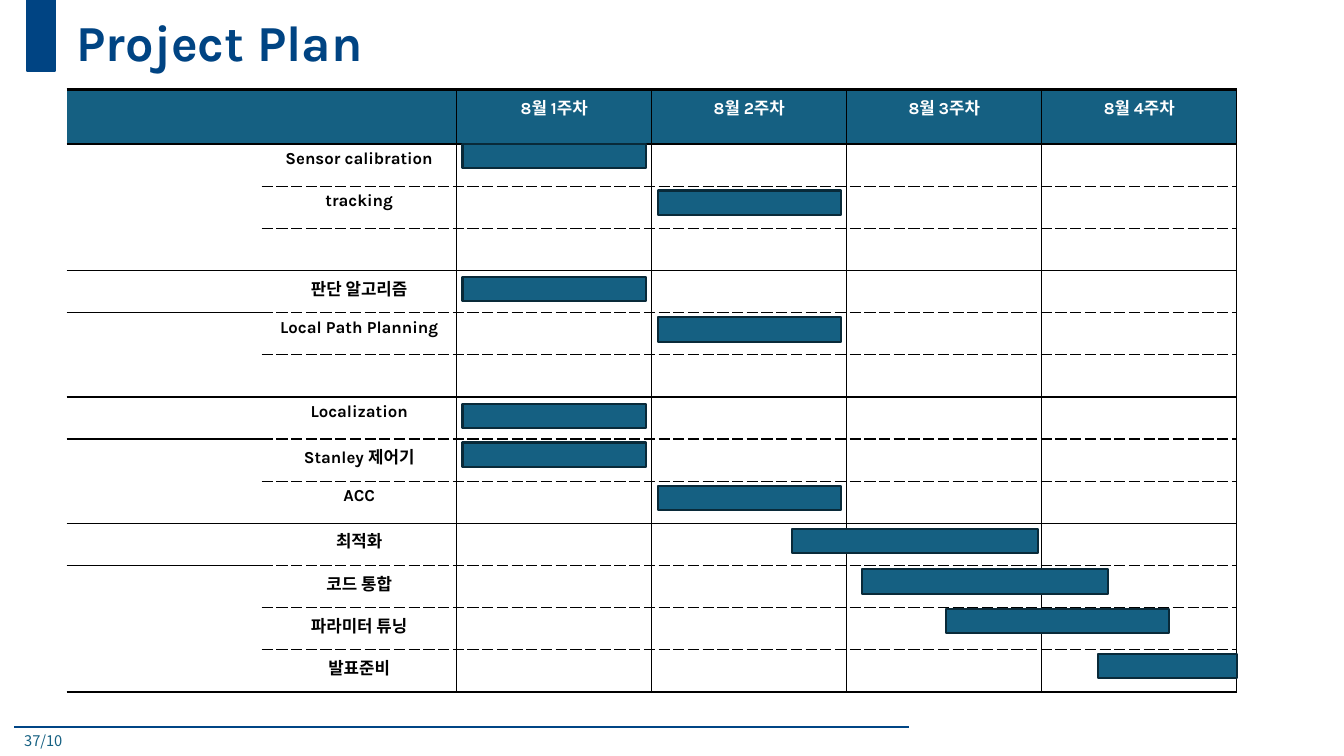
import lxml.etree
import pptx
import pptx.dml.color
import pptx.enum.shapes
import pptx.enum.text
import pptx.oxml.ns
import pptx.util

Cm, Pt = pptx.util.Cm, pptx.util.Pt
qn = pptx.oxml.ns.qn
ALIGN = pptx.enum.text.PP_ALIGN
ANCHOR = pptx.enum.text.MSO_ANCHOR

NAVY, TEAL, TEAL_EDGE = "004483", "156082", "092A39"
BLACK, WHITE = "000000", "FFFFFF"
LATIN, KOREAN = "Karla", "Noto Sans CJK KR"

WEEKS = ["8월 1주차", "8월 2주차", "8월 3주차", "8월 4주차"]
# Row label, then bar start and length in weeks and bar top in cm below the table top
TASKS = [
    ("Sensor calibration", 0.03, 0.94, 1.37),
    ("tracking", 1.03, 0.94, 2.54),
    None,
    ("판단 알고리즘", 0.03, 0.94, 4.72),
    ("Local Path Planning", 1.03, 0.94, 5.74),
    None,
    ("Localization", 0.03, 0.94, 7.92),
    ("Stanley 제어기", 0.03, 0.94, 8.89),
    ("ACC", 1.03, 0.94, 9.98),
    ("최적화", 1.72, 1.26, 11.07),
    ("코드 통합", 2.08, 1.26, 12.09),
    ("파라미터 튜닝", 2.51, 1.14, 13.08),
    ("발표준비", 3.29, 0.71, 14.22),
]
LAST_ROW = len(TASKS)
GROUP_ENDS = (3, 6, 9)      # solid line across the whole row
GROUP_STARTS = (4, 7, 10)   # solid line in the first column only
LABEL_COLUMNS = 2
HEADER_HEIGHT = 1.37
BAR_HEIGHT = 0.61


def rgb(value):
    return pptx.dml.color.RGBColor.from_string(value)


def apply(target, values):
    for name, value in values.items():
        setattr(target, name, value)


def write(paragraph, text, size, color, latin=LATIN, bold=True):
    run = paragraph.add_run()
    run.text = text
    apply(run.font, {"size": Pt(size), "bold": bold, "name": latin})
    run.font.color.rgb = rgb(color)
    lxml.etree.SubElement(run.font._element, qn("a:ea"), typeface=KOREAN)


def add_bar(slide, left, top, width, height, fill, edge):
    bar = slide.shapes.add_shape(
        pptx.enum.shapes.MSO_SHAPE.RECTANGLE, Cm(left), Cm(top), Cm(width), Cm(height))
    bar.shadow.inherit = False
    bar.fill.solid()
    bar.fill.fore_color.rgb = rgb(fill)
    bar.line.color.rgb = rgb(edge)
    bar.line.width = Pt(1.5)


def set_borders(cell, borders):
    """Each border is None or a pair of width in points and dash."""
    properties = cell._tc.get_or_add_tcPr()
    for side in "LRTB":
        border = borders[side]
        line = lxml.etree.SubElement(properties, qn("a:ln" + side))
        if border is None:
            lxml.etree.SubElement(line, qn("a:noFill"))
            continue
        width, dash = border
        line.set("w", str(Pt(width)))
        fill = lxml.etree.SubElement(line, qn("a:solidFill"))
        lxml.etree.SubElement(fill, qn("a:srgbClr"), val=BLACK)
        lxml.etree.SubElement(line, qn("a:prstDash"), val=dash)


def rule_below(row, column):
    """Border under a row; row -1 is the top edge of the table."""
    if row in (-1, 0, LAST_ROW):
        return 2, "solid"
    if row in GROUP_ENDS or (column == 0 and row in GROUP_STARTS):
        return 1, "solid"
    return None if column == 0 else (1, "sysDash")


def cell_text(row, column):
    if row == 0:
        return WEEKS[column - LABEL_COLUMNS] if column >= LABEL_COLUMNS else ""
    task = TASKS[row - 1]
    return task[0] if task and column == 1 else ""


def title_band(slide, left, top, width, height):
    # Accent block, then the title to its right
    add_bar(slide, left, top, 0.69, 1.8, NAVY, NAVY)
    title = slide.shapes.title
    apply(title, {"left": Cm(left + 0.99), "top": Cm(top),
                  "width": Cm(width - 0.99), "height": Cm(height)})
    apply(title.text_frame, {"vertical_anchor": ANCHOR.MIDDLE, "word_wrap": True,
                             "auto_size": pptx.enum.text.MSO_AUTO_SIZE.NONE})
    heading = title.text_frame.paragraphs[0]
    apply(heading, {"alignment": ALIGN.LEFT, "line_spacing": 0.9})
    write(heading, "Project Plan", 36, NAVY)


def schedule(slide, left, top, width, height):
    # Grid of tasks by week
    columns = LABEL_COLUMNS + len(WEEKS)
    week_width = width / columns
    grid = slide.shapes.add_table(
        LAST_ROW + 1, columns, Cm(left), Cm(top), Cm(width), Cm(height)).table
    apply(grid, {"first_row": False, "horz_banding": False})
    for column in grid.columns:
        column.width = Cm(week_width)
    for index, row in enumerate(grid.rows):
        row.height = Cm((height - HEADER_HEIGHT) / LAST_ROW if index else HEADER_HEIGHT)
        for position, cell in enumerate(row.cells):
            set_borders(cell, {
                "L": (1, "solid") if position >= LABEL_COLUMNS else None,
                "R": (1, "solid") if position >= LABEL_COLUMNS - 1 else None,
                "T": rule_below(index - 1, position),
                "B": rule_below(index, position),
            })
            cell.fill.solid()
            cell.fill.fore_color.rgb = rgb(WHITE if index else TEAL)
            paragraph = cell.text_frame.paragraphs[0]
            paragraph.alignment = ALIGN.CENTER
            text = cell_text(index, position)
            if text:
                write(paragraph, text, 12, BLACK if index else WHITE)
            else:
                lxml.etree.SubElement(paragraph._p, qn("a:endParaRPr"), sz="1200")

    # Bars over the week columns
    weeks_left = left + LABEL_COLUMNS * week_width
    for task in filter(None, TASKS):
        _, start, length, offset = task
        add_bar(slide, weeks_left + start * week_width, top + offset,
                length * week_width, BAR_HEIGHT, TEAL, TEAL_EDGE)


def footer(slide, left, top, width, height):
    # Rule with the page number under it
    rule = slide.shapes.add_connector(
        pptx.enum.shapes.MSO_CONNECTOR.STRAIGHT,
        Cm(left), Cm(top), Cm(left + width), Cm(top))
    rule.line.color.rgb = rgb("004585")
    rule.line.width = Pt(1.5)
    lxml.etree.SubElement(rule._element.spPr, qn("a:effectLst"))
    page = slide.shapes.add_textbox(Cm(left), Cm(top), Cm(14.5), Cm(height))
    page.text_frame.word_wrap = True
    write(page.text_frame.paragraphs[0], "37/10", 10.5, TEAL, KOREAN, False)


def main():
    deck = pptx.Presentation()
    apply(deck, {"slide_width": Cm(33.87), "slide_height": Cm(19.05)})
    slide = deck.slides.add_slide(deck.slide_layouts.get_by_name("Title Only"))
    footer(slide, 0.36, 18.31, 22.55, 0.74)
    title_band(slide, 0.69, 0, 31.37, 2.26)
    schedule(slide, 1.68, 2.26, 29.49, 15.18)
    deck.save("out.pptx")


if __name__ == "__main__":
    main()
